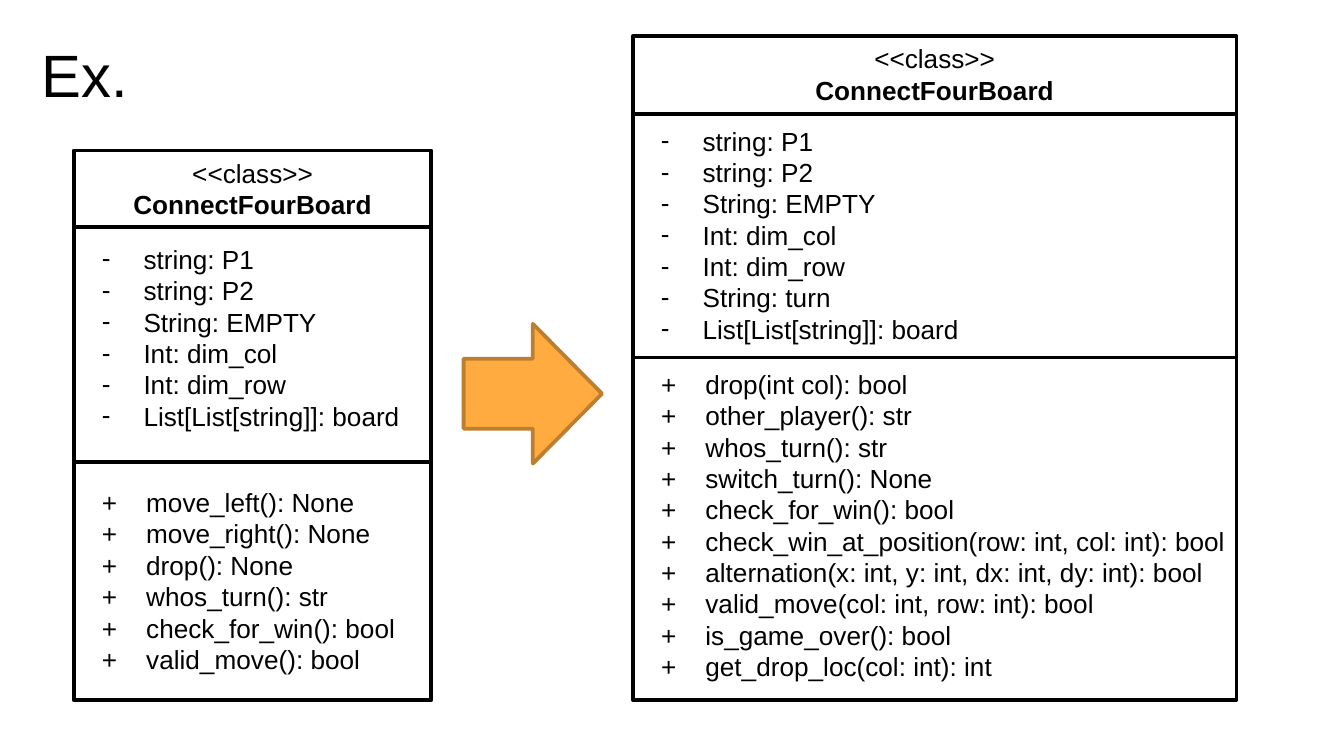
from lxml import etree
from pptx import Presentation
from pptx.dml.color import RGBColor
from pptx.enum.shapes import MSO_SHAPE
from pptx.enum.text import MSO_ANCHOR, MSO_AUTO_SIZE, PP_ALIGN
from pptx.oxml.ns import qn
from pptx.util import Inches, Pt

RECTANGLE = MSO_SHAPE.RECTANGLE
RIGHT_ARROW = MSO_SHAPE.RIGHT_ARROW
TOP = MSO_ANCHOR.TOP
NO_AUTOFIT = MSO_AUTO_SIZE.NONE
LEFT, CENTER = PP_ALIGN.LEFT, PP_ALIGN.CENTER

FONT = "Arial"
BLACK, WHITE = "000000", "FFFFFF"
ORANGE, BROWN = "FFAB40", "BD7F2F"
CLASS_NAME = "ConnectFourBoard"

OLD_FIELDS = [
    "string: P1", "string: P2", "String: EMPTY", "Int: dim_col",
    "Int: dim_row", "List[List[string]]: board",
]
NEW_FIELDS = OLD_FIELDS[:-1] + ["String: turn", OLD_FIELDS[-1]]
OLD_METHODS = [
    "move_left(): None", "move_right(): None", "drop(): None",
    "whos_turn(): str", "check_for_win(): bool", "valid_move(): bool",
]
NEW_METHODS = [
    "drop(int col): bool", "other_player(): str", "whos_turn(): str",
    "switch_turn(): None", "check_for_win(): bool",
    "check_win_at_position(row: int, col: int): bool",
    "alternation(x: int, y: int, dx: int, dy: int): bool",
    "valid_move(col: int, row: int): bool", "is_game_over(): bool",
    "get_drop_loc(col: int): int",
]


def color(hex_value):
    return RGBColor.from_string(hex_value)


def format_para(para, size, align=LEFT, bold=False):
    para.alignment = align
    for span in para.runs:
        span.font.name = FONT
        span.font.size = Pt(size)
        span.font.bold = bold
        span.font.color.rgb = color(BLACK)


def set_indent(para, margin, first_line):
    properties = para._p.get_or_add_pPr()
    properties.set("marL", str(Inches(margin)))
    properties.set("indent", str(Inches(first_line)))
    return properties


def add_dash(para):
    properties = set_indent(para, 0.31, -0.31)
    etree.SubElement(properties, qn("a:buFont")).set("typeface", FONT)
    etree.SubElement(properties, qn("a:buChar")).set("char", "-")


def add_tab_stop(para, position):
    tabs = etree.SubElement(para._p.get_or_add_pPr(), qn("a:tabLst"))
    stop = etree.SubElement(tabs, qn("a:tab"))
    stop.set("pos", str(Inches(position)))
    stop.set("algn", "l")


def add_title(page, text):
    title = page.shapes.title
    title.left, title.top = Inches(0.09), Inches(0.1)
    title.width, title.height = Inches(1.02), Inches(0.74)
    frame = title.text_frame
    frame.text = text
    frame.auto_size = NO_AUTOFIT
    frame.vertical_anchor = TOP
    frame.margin_top = frame.margin_bottom = Inches(0.1)
    para = frame.paragraphs[0]
    para.line_spacing = 1.15
    para.space_before = Pt(0)
    set_indent(para, 0.12, 0)
    format_para(para, 32)


def add_filled_shape(page, kind, left, top, width, height, fill, line):
    shape = page.shapes.add_shape(
        kind, Inches(left), Inches(top), Inches(width), Inches(height))
    shape.shadow.inherit = False
    shape.fill.solid()
    shape.fill.fore_color.rgb = color(fill)
    shape.line.color.rgb = color(line)
    shape.line.width = Pt(2)


def add_text(page, left, top, width, height, lines):
    box = page.shapes.add_textbox(
        Inches(left), Inches(top), Inches(width), Inches(height))
    frame = box.text_frame
    frame.word_wrap = True
    frame.text = "\n".join(lines)
    return frame.paragraphs


def add_fields(page, left, top, width, height, fields):
    for para in add_text(page, left, top, width, height, fields):
        format_para(para, 14)
        add_dash(para)


def add_methods(page, left, top, width, height, methods):
    lines = [f"+\t{method}" for method in methods]
    for para in add_text(page, left, top, width, height, lines):
        format_para(para, 14)
        add_tab_stop(para, 0.33)


def add_class(page, frame, section, fields, methods):
    """Draw a UML class.

    frame is left, top, width, height; section is top and height of the
    fields; fields and methods are each text top, width, height, members.
    """
    left, top, width, height = frame
    section_top, section_height = section
    add_filled_shape(page, RECTANGLE, left, top, width, height, WHITE, BLACK)
    add_filled_shape(page, RECTANGLE, left, section_top, width,
                     section_height, WHITE, BLACK)

    heading_width = 2.15
    heading_left = left + (width - heading_width) / 2
    stereotype, name = add_text(page, heading_left, top, heading_width, 0.57,
                                ["<<class>>", CLASS_NAME])
    format_para(stereotype, 14, CENTER)
    format_para(name, 14, CENTER, bold=True)

    text_left = left + 0.11
    add_fields(page, text_left, *fields)
    add_methods(page, text_left, *methods)


def main():
    deck = Presentation()
    deck.slide_width = Inches(10)
    deck.slide_height = deck.slide_width * 9 // 16
    page = deck.slides.add_slide(deck.slide_layouts[5])

    add_title(page, "Ex.")
    add_class(page, (0.55, 1.12, 2.66, 4.09), (1.69, 1.75),
              (1.76, 2.44, 1.51, OLD_FIELDS),
              (3.57, 2.44, 1.51, OLD_METHODS))
    add_class(page, (4.71, 0.27, 4.49, 4.94), (0.85, 1.81),
              (0.88, 2.44, 1.75, NEW_FIELDS),
              (2.69, 4.49, 2.69, NEW_METHODS))
    add_filled_shape(page, RIGHT_ARROW, 3.45, 2.41, 1.03, 1.04, ORANGE, BROWN)

    deck.save("out.pptx")


if __name__ == "__main__":
    main()
